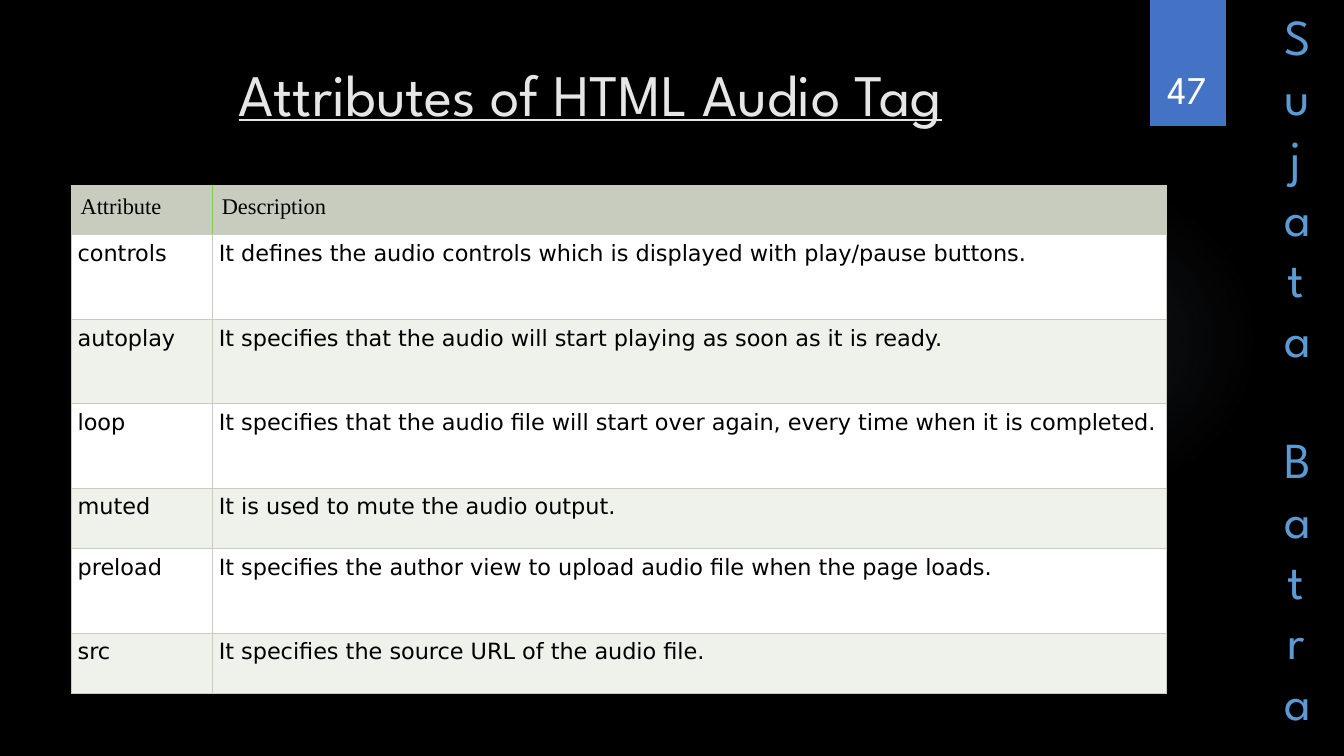
from pptx import Presentation
from pptx.dml.color import RGBColor
from pptx.enum.shapes import MSO_SHAPE
from pptx.enum.text import MSO_ANCHOR, PP_ALIGN
from pptx.oxml import parse_xml
from pptx.oxml.ns import nsdecls
from pptx.util import Inches, Pt

theme = {
    "back": "000000", "blue": "4472C4", "sky": "5B9BD5", "glow": "8497B0",
    "pale": "E7E6E6", "white": "FFFFFF", "ink": "000000",
    "sage": "C7CCBE", "mist": "EFF1EB", "green": "80CC48",
    "head": {"name": "League Spartan", "size": Pt(42), "underline": True},
    "side": {"name": "League Spartan", "size": Pt(36)},
    "page": {"name": "League Spartan", "size": Pt(28)},
    "label": {"name": "Times New Roman", "size": Pt(16), "bold": False},
    "body": {"name": "DejaVu Sans", "size": Pt(16), "bold": False},
}

deck = Presentation()
deck.slide_width, deck.slide_height = Inches(13.33), Inches(7.5)
col, row = deck.slide_width / 100, deck.slide_height / 100


def area(left, top, width, height):
    return [int(left * col), int(top * row), int(width * col), int(height * row)]


def write(frame, lines, style, color, align, inset, anchor):
    form = {"word_wrap": True, "vertical_anchor": anchor}
    form.update(zip(("margin_left", "margin_top", "margin_right", "margin_bottom"), map(Inches, inset)))
    for key, value in form.items():
        setattr(frame, key, value)
    for num, line in enumerate(lines):
        para = frame.add_paragraph() if num else frame.paragraphs[0]
        para.alignment = align
        run = para.add_run()
        run.text = line
        for key, value in theme[style].items():
            setattr(run.font, key, value)
        run.font.color.rgb = RGBColor.from_string(theme[color])


slide = deck.slides.add_slide(deck.slide_layouts[5])
slide.background.fill.solid()
slide.background.fill.fore_color.rgb = RGBColor.from_string(theme["back"])
shapes = slide.shapes

glow = shapes.add_shape(MSO_SHAPE.OVAL, *area(70.58, 24.4, 23.1, 41.07))
glow.shadow.inherit = False
glow.line.fill.background()
stops = "".join(
    f'<a:gs pos="{place}000"><a:srgbClr val="{theme["glow"]}"><a:alpha val="{alpha}000"/></a:srgbClr></a:gs>'
    for place, alpha in ((0, 7), (36, 6), (69, 0))
)
fade = parse_xml(
    f'<a:gradFill {nsdecls("a")} rotWithShape="1"><a:gsLst>{stops}</a:gsLst><a:path path="circle">'
    '<a:fillToRect l="50000" t="50000" r="50000" b="50000"/></a:path></a:gradFill>'
)
glow.fill.solid()
solid = glow.fill.fore_color and glow.element.spPr.find(".//{*}solidFill")
solid.getparent().replace(solid, fade)

flag = shapes.add_shape(MSO_SHAPE.RECTANGLE, *area(85.58, 0, 5.63, 16.67))
flag.shadow.inherit = False
flag.line.fill.background()
flag.fill.solid()
flag.fill.fore_color.rgb = RGBColor.from_string(theme["blue"])

side = shapes.add_textbox(*area(94.8, 0, 3.23, 98.27)).text_frame
write(side, ["Sujata", "Batra"], "side", "sky", PP_ALIGN.CENTER, (0.1, 0.05, 0.1, 0.05), MSO_ANCHOR.TOP)
side.paragraphs[1].space_before = Pt(43)

title = shapes.title
title.left, title.top, title.width, title.height = area(5.33, 6.67, 77.18, 20.4)
write(title.text_frame, ["Attributes of HTML Audio Tag"], "head", "pale",
      PP_ALIGN.CENTER, (0.1, 0.07, 0.1, 0.05), MSO_ANCHOR.TOP)

data = [
    ("Attribute", "Description"),
    ("controls", "It defines the audio controls which is displayed with play/pause buttons."),
    ("autoplay", "It specifies that the audio will start playing as soon as it is ready."),
    ("loop", "It specifies that the audio file will start over again, every time when it is completed."),
    ("muted", "It is used to mute the audio output."),
    ("preload", "It specifies the author view to upload audio file when the page loads."),
    ("src", "It specifies the source URL of the audio file."),
]
short, tall = 8.03, 11.17
spans = [6.55, tall, tall, tall, short, tall, short]
table = shapes.add_table(len(data), 2, *area(5.33, 24.53, 81.45, sum(spans))).table
table.first_row = table.horz_banding = False
for part, share in zip(table.columns, (10.5, 70.95)):
    part.width = int(share * col)
for y, (texts, span) in enumerate(zip(data, spans)):
    table.rows[y].height = int(span * row)
    style, tint, pad = ("body", "white" if y % 2 else "mist", 0.06) if y else ("label", "sage", 0.09)
    for x, text in enumerate(texts):
        cell = table.cell(y, x)
        write(cell.text_frame, [text], style, "ink", PP_ALIGN.LEFT, (0, 0, 0, 0), MSO_ANCHOR.TOP)
        for edge in ("left", "top", "right", "bottom"):
            setattr(cell, f"margin_{edge}", Inches(pad))
        inner = "L" if x else "R"
        for edge in "LRTB":
            tone = theme["green" if y == 0 and edge == inner else "sage"]
            cell._tc.get_or_add_tcPr().append(parse_xml(
                f'<a:ln{edge} {nsdecls("a")} w="9525"><a:solidFill><a:srgbClr val="{tone}"/></a:solidFill></a:ln{edge}>'
            ))
        cell.fill.solid()
        cell.fill.fore_color.rgb = RGBColor.from_string(theme[tint])

page = shapes.add_textbox(*area(84.9, 4.27, 6.9, 11.2)).text_frame
write(page, ["47"], "page", "white", PP_ALIGN.CENTER, (0.1, 0.05, 0.1, 0.05), MSO_ANCHOR.BOTTOM)

deck.save("out.pptx")
